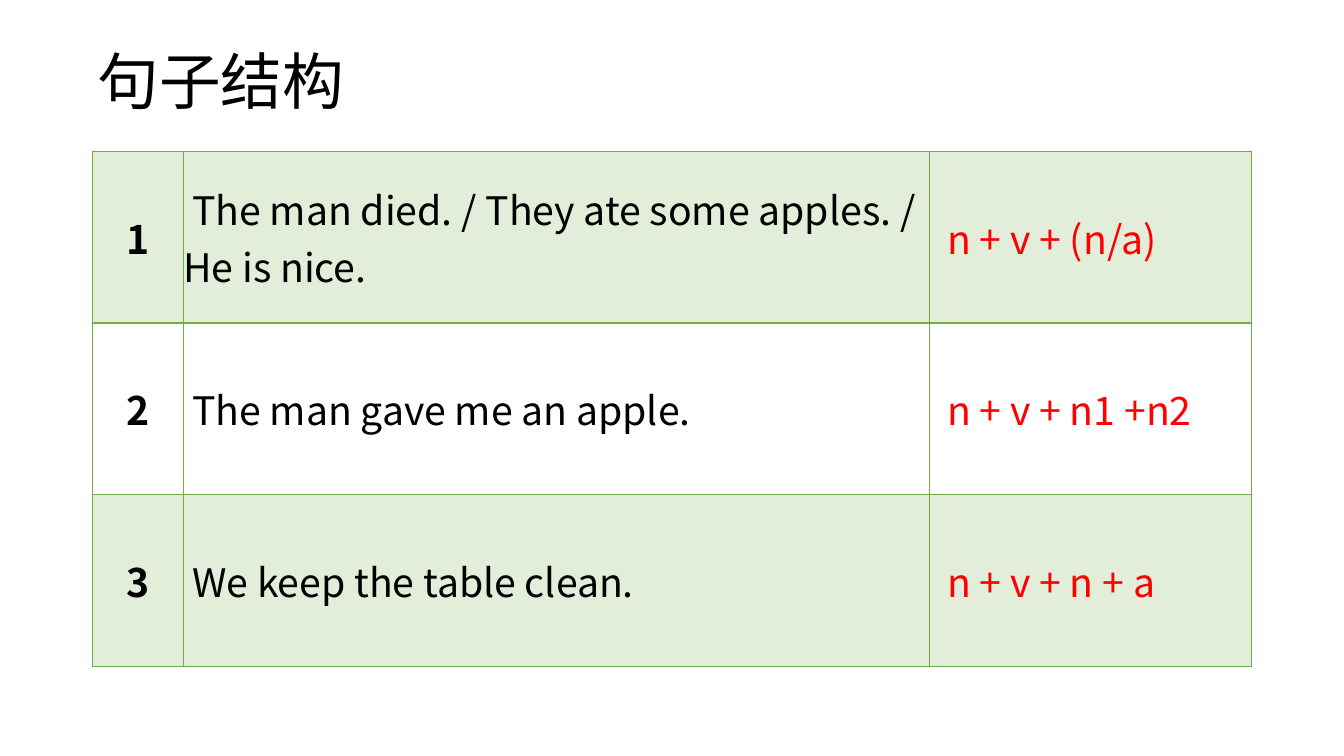
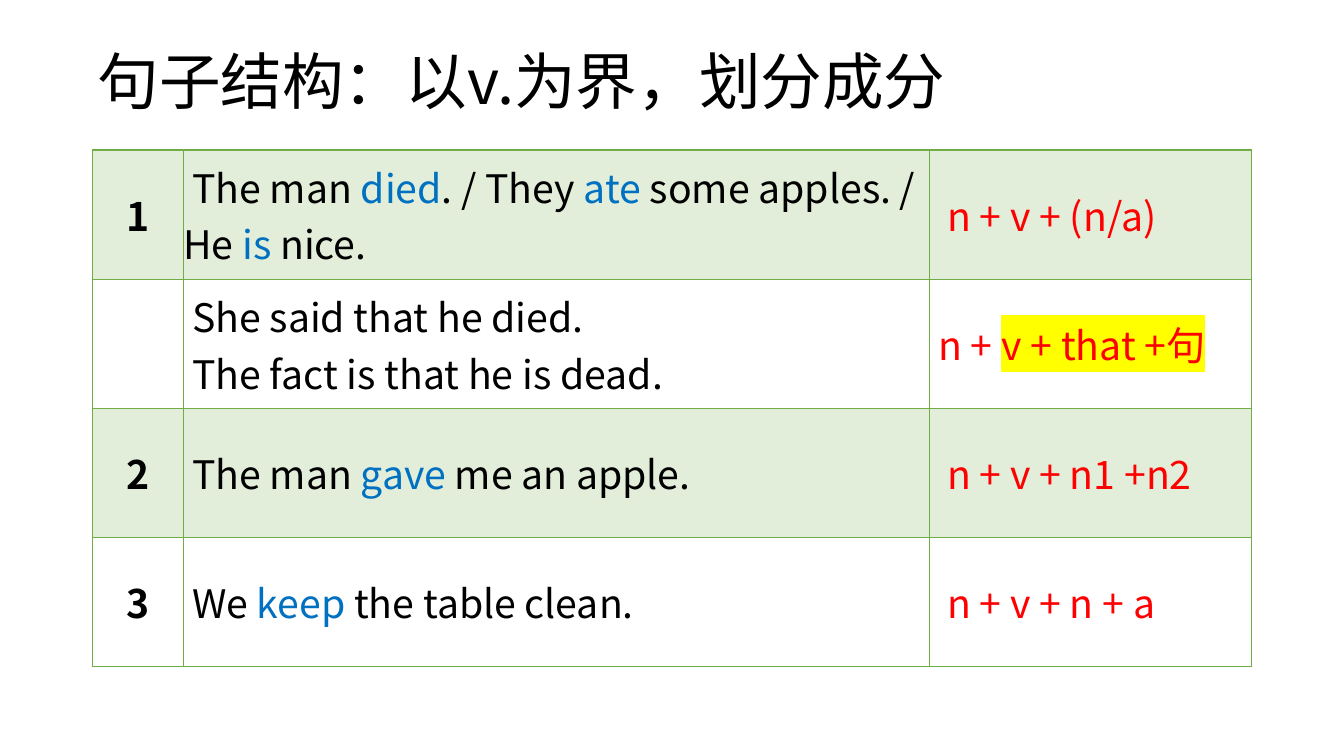
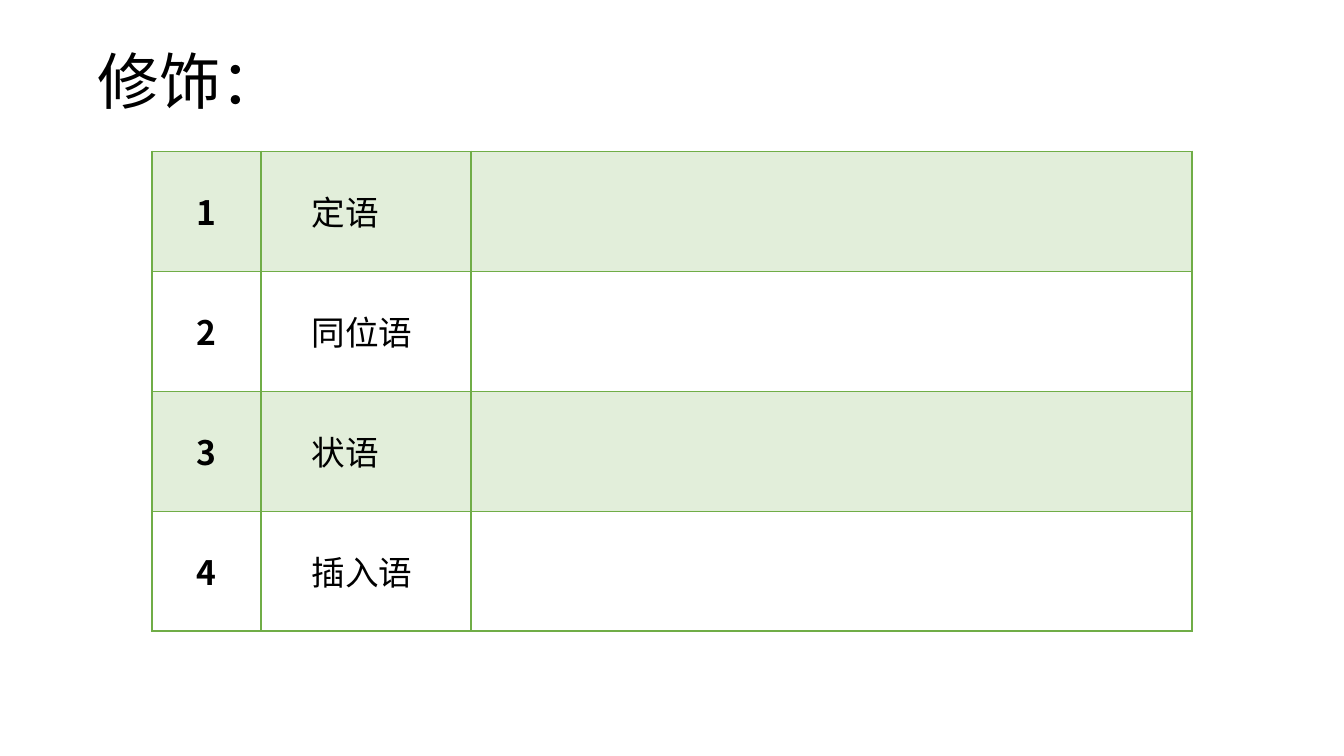
from dataclasses import dataclass
from typing import Optional

from lxml.etree import SubElement
from pptx import Presentation
from pptx.dml.color import RGBColor
from pptx.enum.text import MSO_ANCHOR, MSO_AUTO_SIZE, PP_ALIGN
from pptx.oxml import parse_xml
from pptx.oxml.ns import nsdecls, qn
from pptx.util import Pt

FONT = "Noto Sans CJK SC"
BLACK, RED, BLUE, YELLOW, GREEN = "000000", "FF0000", "0070C0", "FFFF00", "70AD47"
MARK = "|"
LEFT, WIDTH = 66, 828


@dataclass
class ColumnStyle:
    colour: str = BLACK
    marked_colour: Optional[str] = None
    highlight: Optional[str] = None
    bold: bool = False
    align: PP_ALIGN = PP_ALIGN.LEFT
    indent: int = 0


NUMBER = ColumnStyle(bold=True, align=PP_ALIGN.CENTER)
SENTENCE = ColumnStyle()
SENTENCE_WITH_VERBS = ColumnStyle(marked_colour=BLUE)
PATTERN = ColumnStyle(colour=RED, marked_colour=RED, highlight=YELLOW)
TERM = ColumnStyle(indent=36)

STRUCTURES = [
    ("1", " The man |died|. / They |ate| some apples. / He |is| nice.", "\u00a0 n + v + (n/a)"),
    ("2", " The man |gave| me an apple. ", "\u00a0 n + v + n1 +n2"),
    ("3", " We |keep| the table clean.", "\u00a0 n + v + n + a"),
]
CLAUSE = ("", " She said that he died. \n The fact is that he is dead.", " n + |v + that +句|")
MODIFIERS = ["定语", "同位语", "状语", "插入语"]


def rgb(colour):
    return RGBColor.from_string(colour)


def format_run(run, size, colour, bold=False):
    font = run.font
    font.size, font.name, font.bold = Pt(size), FONT, bold
    font.color.rgb = rgb(colour)
    SubElement(run._r.get_or_add_rPr(), qn("a:ea")).set("typeface", FONT)


def highlight_run(run, colour):
    run._r.rPr.find(qn("a:solidFill")).addnext(parse_xml(
        f'<a:highlight {nsdecls("a")}><a:srgbClr val="{colour}"/></a:highlight>'))


def add_title(slide, wording):
    title = slide.shapes.title
    title.left, title.top, title.width, title.height = Pt(LEFT), Pt(28.8), Pt(WIDTH), Pt(62.6)
    frame = title.text_frame
    frame.text = wording
    frame.word_wrap, frame.auto_size = True, MSO_AUTO_SIZE.NONE
    frame.vertical_anchor = MSO_ANCHOR.MIDDLE
    frame.margin_left = frame.margin_right = frame.margin_top = frame.margin_bottom = Pt(3.6)
    heading = frame.paragraphs[0]
    heading.alignment, heading.line_spacing = PP_ALIGN.LEFT, 0.9
    format_run(heading.runs[0], 44, BLACK)


def write_paragraph(paragraph, wording, style, size):
    paragraph.alignment = style.align
    if style.indent:
        paragraph.level = 1
        paragraph._p.get_or_add_pPr().set("marL", str(int(Pt(style.indent))))
    if not style.marked_colour:
        wording = wording.replace(MARK, "")
    for position, part in enumerate(wording.split(MARK)):
        if not part:
            continue
        marked = position % 2 == 1
        run = paragraph.add_run()
        run.text = part
        format_run(run, size, style.marked_colour if marked else style.colour, style.bold)
        if marked and style.highlight:
            highlight_run(run, style.highlight)


def write_cell(cell, wording, style, size):
    cell.margin_left = cell.margin_right = cell.margin_top = cell.margin_bottom = 0
    cell.vertical_anchor = MSO_ANCHOR.MIDDLE
    frame = cell.text_frame
    for position, line in enumerate(wording.split("\n")):
        paragraph = frame.add_paragraph() if position else frame.paragraphs[0]
        write_paragraph(paragraph, line, style, size)


def paint_cell(cell, tinted):
    properties = cell._tc.get_or_add_tcPr()
    for side in ("lnL", "lnR", "lnT", "lnB"):
        properties.append(parse_xml(
            f'<a:{side} {nsdecls("a")} w="{int(Pt(1))}"><a:solidFill>'
            f'<a:srgbClr val="{GREEN}"/></a:solidFill></a:{side}>'))
    if tinted:
        cell.fill.solid()
        cell.fill.fore_color.rgb = rgb(GREEN)
        tint = properties.find(qn("a:solidFill")).find(qn("a:srgbClr"))
        SubElement(tint, qn("a:alpha")).set("val", "20000")
    else:
        cell.fill.background()


def add_grid(slide, rows, styles, left, top, widths, row_height, size):
    grid = slide.shapes.add_table(len(rows), len(widths), Pt(left), Pt(top),
                                  Pt(sum(widths)), Pt(row_height * len(rows))).table
    grid.first_row = grid.horz_banding = False
    for column, width in zip(grid.columns, widths):
        column.width = Pt(width)
    for index, (row, wordings) in enumerate(zip(grid.rows, rows)):
        row.height = Pt(row_height)
        for cell, wording, style in zip(row.cells, wordings, styles):
            write_cell(cell, wording, style, size)
            paint_cell(cell, tinted=index % 2 == 0)


def add_titled_slide(deck, wording):
    slide = deck.slides.add_slide(deck.slide_layouts[5])
    add_title(slide, wording)
    return slide


def main():
    deck = Presentation()
    deck.slide_width, deck.slide_height = Pt(960), Pt(540)
    structure_widths = (65, 533, 230)

    overview = add_titled_slide(deck, "句子结构")
    add_grid(overview, STRUCTURES, (NUMBER, SENTENCE, PATTERN),
             LEFT, 108, structure_widths, 122.7, 28)

    division = add_titled_slide(deck, "句子结构:以v.为界,划分成分".replace(":", "：").replace(",", "，"))
    add_grid(division, [STRUCTURES[0], CLAUSE, *STRUCTURES[1:]],
             (NUMBER, SENTENCE_WITH_VERBS, PATTERN),
             LEFT, 107.2, structure_widths, 92.2, 28)

    modifiers = add_titled_slide(deck, "修饰：")
    add_grid(modifiers, [(str(number), term, "") for number, term in enumerate(MODIFIERS, 1)],
             (NUMBER, TERM, SENTENCE), 108.5, 108, (78, 150, 515), 85.7, 24)

    deck.save("out.pptx")


if __name__ == "__main__":
    main()
